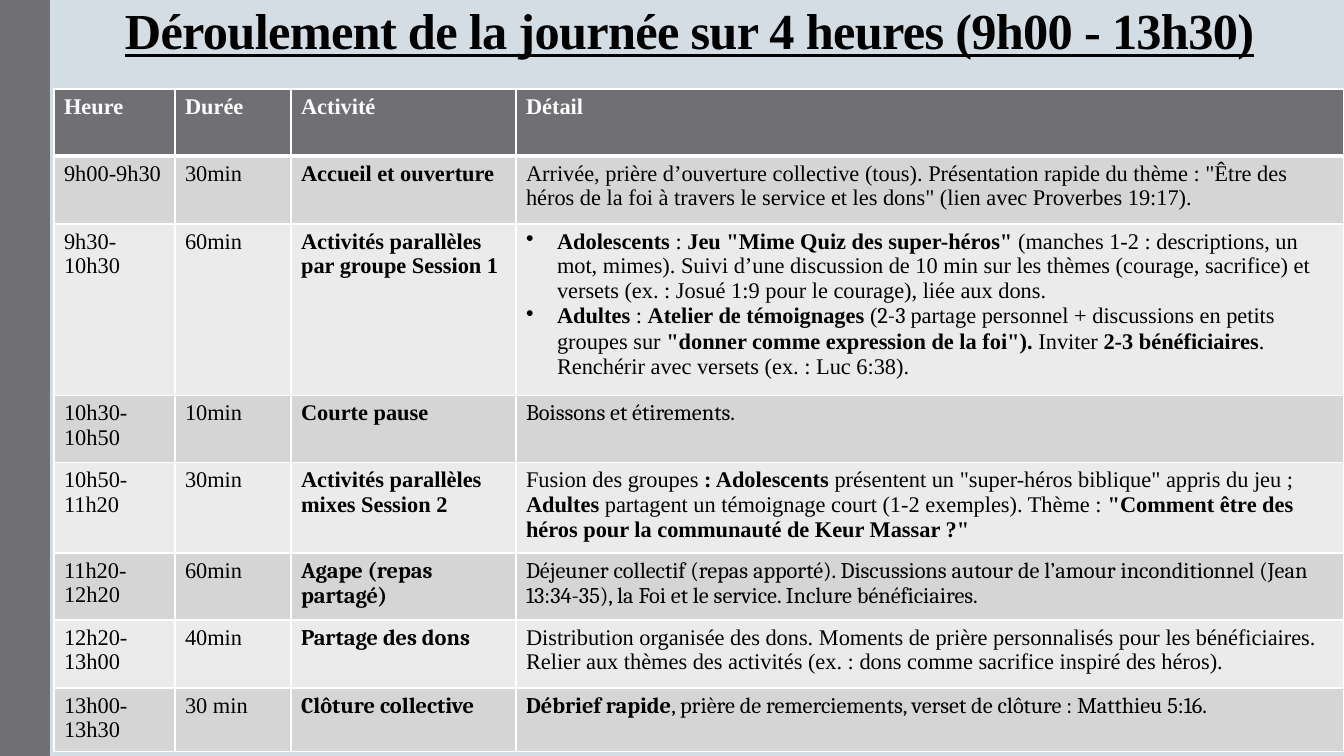
from lxml.etree import SubElement
from pptx import Presentation
from pptx.dml.color import RGBColor
from pptx.enum.shapes import MSO_SHAPE as SHAPE
from pptx.enum.text import MSO_ANCHOR as ANCHOR
from pptx.oxml.ns import qn
from pptx.util import Pt

W, H = 1344, 756
PX = 12192000 / W

SERIF, ALT = "Times New Roman", "Cambria"
GREY, PALE, LIGHT, MID = "6F6F74", "D3DDE3", "EBEBEB", "D5D5D6"
BLACK, WHITE = "000000", "FFFFFF"

COLS = [121, 116, 225, 828]
HEIGHTS = [67, 68, 160, 67, 85, 67, 68, 60]

# ** toggles bold, ~ toggles the second font, a leading • makes a bullet.
ROWS = [
    ["**Heure**", "**Durée**", "**Activité**", "**Détail**"],
    ["9h00-9h30", "30min", "**Accueil et ouverture**",
     "Arrivée, prière d’ouverture collective (tous). Présentation rapide du thème : "
     "\"Être des héros de la foi à travers le service et les dons\" "
     "(lien avec Proverbes 19:17)."],
    ["9h30-10h30", "60min", "**Activités parallèles par groupe Session 1**",
     "•**Adolescents** : **Jeu \"Mime Quiz des super-héros\" **(manches 1-2 : "
     "descriptions, un mot, mimes). Suivi d’une discussion de 10 min sur les thèmes "
     "(courage, sacrifice) et versets (ex. : Josué 1:9 pour le courage), liée aux dons.\n"
     "•**Adultes** : **Atelier de témoignages **(~2-3 ~partage personnel + discussions "
     "en petits groupes sur **\"donner comme expression de la foi\"). **Inviter "
     "**2-3 bénéficiaires**. Renchérir avec versets (ex. : Luc 6:38)."],
    ["10h30-10h50", "10min", "**Courte pause**", "~Boissons et étirements.~"],
    ["10h50-11h20", "30min", "**Activités parallèles mixes Session 2**",
     "Fusion des groupes **: Adolescents **présentent un \"super-héros biblique\" "
     "appris du jeu ;\n"
     "**Adultes** partagent un témoignage court (1-2 exemples). Thème : "
     "**\"Comment être des héros pour la communauté de Keur Massar ?\"**"],
    ["11h20-12h20", "60min", "**~Agape (repas partagé)~**",
     "~Déjeuner collectif (repas apporté). Discussions autour de l’amour inconditionnel "
     "(Jean 13:34-35), la Foi et le service. Inclure bénéficiaires.~"],
    ["12h20-13h00", "40min", "**~Partage des dons~**",
     "Distribution organisée des dons. Moments de prière personnalisés pour les "
     "bénéficiaires. Relier aux thèmes des activités (ex. : dons comme sacrifice "
     "inspiré des héros)."],
    ["13h00-13h30", "30 min", "**~Clôture collective~**",
     "**~Débrief rapide~**~, prière de remerciements, verset de clôture : "
     "Matthieu 5:16.~"],
]


def px(n):
    return round(n * PX)


def rgb(color):
    return RGBColor.from_string(color)


def paint(fill, color):
    fill.solid()
    fill.fore_color.rgb = rgb(color)


def add_run(p, text, color, **font):
    r = p.add_run()
    r.text = text
    for name, value in font.items():
        setattr(r.font, name, value)
    r.font.color.rgb = rgb(color)
    return r


def add_bullet(p):
    pPr = p._p.get_or_add_pPr()
    pPr.set("marL", str(px(31)))
    pPr.set("indent", str(-px(31)))
    SubElement(pPr, qn("a:buChar")).set("char", "•")


def write(tf, text, color):
    """Fill a text frame from marked-up text."""
    for n, line in enumerate(text.split("\n")):
        p = tf.add_paragraph() if n else tf.paragraphs[0]
        if line.startswith("•"):
            add_bullet(p)
            line = line[1:]
        for i, part in enumerate(line.split("**")):
            for j, piece in enumerate(part.split("~")):
                if piece:
                    add_run(p, piece, color, name=ALT if j % 2 else SERIF,
                            size=Pt(16), bold=bool(i % 2))


def add_borders(cell, **widths):
    tcPr = cell._tc.get_or_add_tcPr()
    for side in "LRTB":
        ln = SubElement(tcPr, qn("a:ln" + side), w=str(Pt(widths.get(side, 1))))
        SubElement(SubElement(ln, qn("a:solidFill")), qn("a:srgbClr"), val=WHITE)


def side_band(s, x, y, w, h):
    sp = s.shapes.add_shape(SHAPE.RECTANGLE, px(x), px(y), px(w), px(h))
    sp.shadow.inherit = False
    paint(sp.fill, GREY)
    sp.line.fill.background()


def title(s, x, y, w, h):
    tf = s.shapes.add_textbox(px(x), px(y), px(w), px(h)).text_frame
    tf.word_wrap = True
    tf.vertical_anchor = ANCHOR.MIDDLE
    r = add_run(tf.paragraphs[0], "Déroulement de la journée sur 4 heures (9h00 - 13h30)",
                BLACK, name=SERIF, size=Pt(36), bold=True, underline=True)
    r.font._element.set("spc", "-50")


def schedule(s, x, y):
    table = s.shapes.add_table(len(ROWS), len(COLS), px(x), px(y),
                               px(sum(COLS)), px(sum(HEIGHTS))).table
    table.horz_banding = False
    for col, width in zip(table.columns, COLS):
        col.width = px(width)
    for i, (row, height, texts) in enumerate(zip(table.rows, HEIGHTS, ROWS)):
        row.height = px(height)
        edges = {0: {"B": 3}, 1: {"T": 3}}.get(i, {})
        fill = MID if i % 2 else LIGHT
        for cell, text in zip(row.cells, texts):
            add_borders(cell, **edges)
            paint(cell.fill, fill if i else GREY)
            write(cell.text_frame, text, BLACK if i else WHITE)


def main():
    prs = Presentation()
    prs.slide_width, prs.slide_height = px(W), px(H)
    s = prs.slides.add_slide(prs.slide_layouts[6])
    paint(s.background.fill, PALE)
    side_band(s, 0, 0, 50, H)
    title(s, 115, 4, W - 115, 51)
    schedule(s, 54, 89)
    prs.save("out.pptx")


if __name__ == "__main__":
    main()
